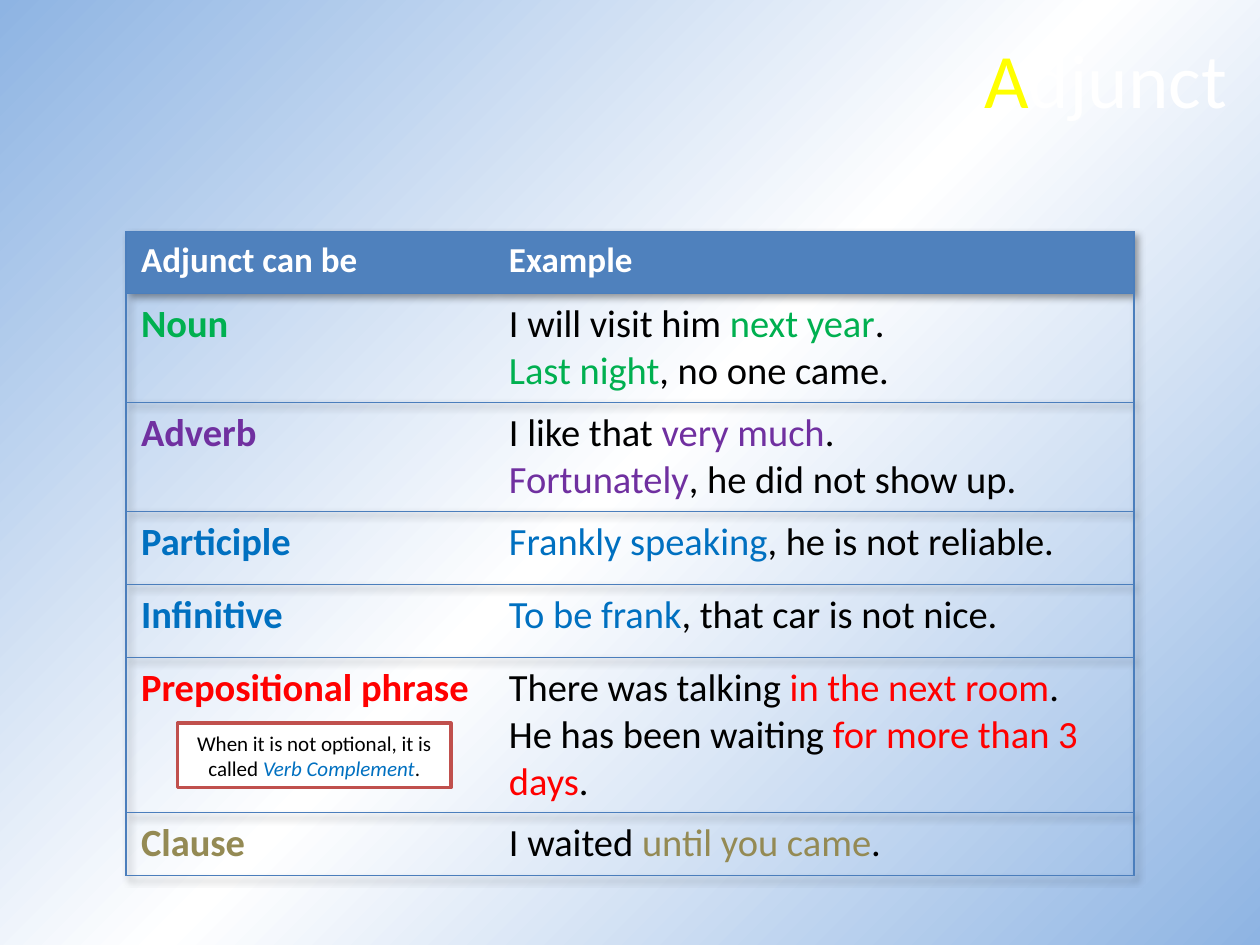
from dataclasses import dataclass

import lxml.etree
import pptx
import pptx.dml.color
import pptx.enum.shapes
import pptx.enum.text
import pptx.oxml
import pptx.oxml.ns
import pptx.util
from pptx.util import Inches

DRAWING = 'xmlns:a="http://schemas.openxmlformats.org/drawingml/2006/main"'
PLAIN_TABLE = "{2D5ABB26-0587-4C30-8999-92F81FD0307C}"


@dataclass(frozen=True)
class Theme:
    font: str = "Calibri"
    sky: str = "8EB4E3"
    white: str = "FFFFFF"
    black: str = "000000"
    yellow: str = "FFFF00"
    header: str = "4F81BD"
    border: str = "4B7EBC"
    note_line: str = "C0504D"
    green: str = "00B050"
    purple: str = "7030A0"
    blue: str = "0070C0"
    red: str = "FF0000"
    olive: str = "948A54"
    title_size: int = 44
    header_size: int = 20
    body_size: int = 22
    note_size: int = 12


THEME = Theme()


@dataclass(frozen=True)
class Span:
    text: str
    marked: bool = False


@dataclass(frozen=True)
class AdjunctRow:
    label: str
    color: str
    height: float
    examples: tuple[tuple[Span, ...], ...]


HEADER_HEIGHT = 0.49
ROWS = (
    AdjunctRow("Noun", THEME.green, 0.86, (
        (Span("I will visit him "), Span("next year", True), Span(".")),
        (Span("Last night", True), Span(", no one came.")))),
    AdjunctRow("Adverb", THEME.purple, 0.86, (
        (Span("I like that "), Span("very much", True), Span(".")),
        (Span("Fortunately", True), Span(", he did not show up.")))),
    AdjunctRow("Participle", THEME.blue, 0.58, (
        (Span("Frankly speaking", True), Span(", he is not reliable.")),)),
    AdjunctRow("Infinitive", THEME.blue, 0.58, (
        (Span("To be frank", True), Span(", that car is not nice.")),)),
    AdjunctRow("Prepositional phrase", THEME.red, 1.23, (
        (Span("There was talking "), Span("in the next room", True), Span(".")),
        (Span("He has been waiting "), Span("for more than 3 days", True), Span(".")))),
    AdjunctRow("Clause", THEME.olive, 0.5, (
        (Span("I waited "), Span("until you came", True), Span(".")),)),
)


def rgb(color: str) -> pptx.dml.color.RGBColor:
    return pptx.dml.color.RGBColor.from_string(color)


def write_spans(paragraph, spans: tuple[Span, ...], size: int, color: str,
                marked_color: str, bold: bool = False, marked_italic: bool = False) -> None:
    paragraph.font.name = THEME.font
    paragraph.font.size = pptx.util.Pt(size)
    paragraph.font.bold = bold
    for span in spans:
        run = paragraph.add_run()
        run.text = span.text
        run.font.color.rgb = rgb(marked_color if span.marked else color)
        if span.marked and marked_italic:
            run.font.italic = True


def paint_background(page) -> None:
    """Diagonal gradient, white through the middle."""
    page.background.fill.gradient()
    gradient = page.background._cSld.bg.bgPr.find(pptx.oxml.ns.qn("a:gradFill"))
    stops = "".join(
        f'<a:gs pos="{position}"><a:srgbClr val="{color}"/></a:gs>'
        for position, color in ((0, THEME.sky), (50000, THEME.white), (100000, THEME.sky)))
    gradient.getparent().replace(gradient, pptx.oxml.parse_xml(
        f'<a:gradFill {DRAWING} rotWithShape="1"><a:gsLst>{stops}</a:gsLst>'
        '<a:lin ang="2700000" scaled="0"/></a:gradFill>'))


def style_cell(cell, sides: str, fill: str | None = None) -> None:
    """Set margins, border lines on the given sides, then the fill."""
    cell.margin_left = cell.margin_right = Inches(0.12)
    cell.margin_top = cell.margin_bottom = Inches(0.06)
    properties = cell._tc.get_or_add_tcPr()
    for side in "LRTB":
        paint = (f'<a:solidFill><a:srgbClr val="{THEME.border}"/></a:solidFill>'
                 if side in sides else "<a:noFill/>")
        properties.append(pptx.oxml.parse_xml(
            f'<a:ln{side} {DRAWING} w="9525">{paint}</a:ln{side}>'))
    if fill:
        cell.fill.solid()
        cell.fill.fore_color.rgb = rgb(fill)
    else:
        cell.fill.background()


def style_table(table) -> None:
    """Drop the banded style and add a soft shadow."""
    table.first_row = True
    table.horz_banding = False
    properties = table._tbl.tblPr
    properties.find(pptx.oxml.ns.qn("a:tableStyleId")).text = PLAIN_TABLE
    properties.insert(0, pptx.oxml.parse_xml(
        f'<a:effectLst {DRAWING}><a:outerShdw blurRad="50800" dist="38100" dir="2700000">'
        f'<a:srgbClr val="{THEME.black}"><a:alpha val="40000"/></a:srgbClr>'
        '</a:outerShdw></a:effectLst>'))


def add_adjunct_table(page) -> None:
    heights = [HEADER_HEIGHT] + [row.height for row in ROWS]
    table = page.shapes.add_table(
        len(heights), 2, Inches(1), Inches(1.84), Inches(8), Inches(sum(heights))).table
    style_table(table)
    for column, width in zip(table.columns, (2.92, 5.08)):
        column.width = Inches(width)
    for table_row, height in zip(table.rows, heights):
        table_row.height = Inches(height)

    # Header row
    for index, heading in enumerate(("Adjunct can be", "Example")):
        cell = table.cell(0, index)
        style_cell(cell, "LTB" if index == 0 else "RTB", THEME.header)
        write_spans(cell.text_frame.paragraphs[0], (Span(heading),),
                    THEME.header_size, THEME.white, THEME.white, bold=True)

    # One row per kind of adjunct
    for index, row in enumerate(ROWS, start=1):
        label, examples = table.cell(index, 0), table.cell(index, 1)
        style_cell(label, "LTB")
        style_cell(examples, "RTB")
        write_spans(label.text_frame.paragraphs[0], (Span(row.label),),
                    THEME.body_size, row.color, row.color, bold=True)
        frame = examples.text_frame
        for number, spans in enumerate(row.examples):
            paragraph = frame.add_paragraph() if number else frame.paragraphs[0]
            write_spans(paragraph, spans, THEME.body_size, THEME.black, row.color)


def add_title(page) -> None:
    title = page.shapes.title
    title.left, title.top = Inches(0.17), Inches(0.08)
    title.width, title.height = Inches(9.67), Inches(1.08)
    title.text_frame.vertical_anchor = pptx.enum.text.MSO_ANCHOR.MIDDLE
    para = title.text_frame.paragraphs[0]
    para.alignment = pptx.enum.text.PP_ALIGN.RIGHT
    write_spans(para, (Span("A", True), Span("djunct")),
                THEME.title_size, THEME.white, THEME.yellow)


def add_note(page) -> None:
    box = page.shapes.add_shape(
        pptx.enum.shapes.MSO_SHAPE.RECTANGLE,
        Inches(1.41), Inches(5.74), Inches(2.17), Inches(0.51))
    box.shadow.inherit = False
    box.fill.solid()
    box.fill.fore_color.rgb = rgb(THEME.white)
    box.line.color.rgb = rgb(THEME.note_line)
    box.line.width = pptx.util.Pt(2)
    box.text_frame.word_wrap = True
    box.text_frame.vertical_anchor = pptx.enum.text.MSO_ANCHOR.MIDDLE
    para = box.text_frame.paragraphs[0]
    para.alignment = pptx.enum.text.PP_ALIGN.CENTER
    write_spans(para, (Span("When it is not optional, it is called "),
                       Span("Verb Complement", True), Span(".")),
                THEME.note_size, THEME.black, THEME.blue, marked_italic=True)


def main() -> None:
    deck = pptx.Presentation()
    deck.slide_width, deck.slide_height = Inches(10), Inches(7.5)
    page = deck.slides.add_slide(deck.slide_layouts[5])
    paint_background(page)
    add_title(page)
    add_adjunct_table(page)
    add_note(page)
    deck.save("out.pptx")


if __name__ == "__main__":
    main()
